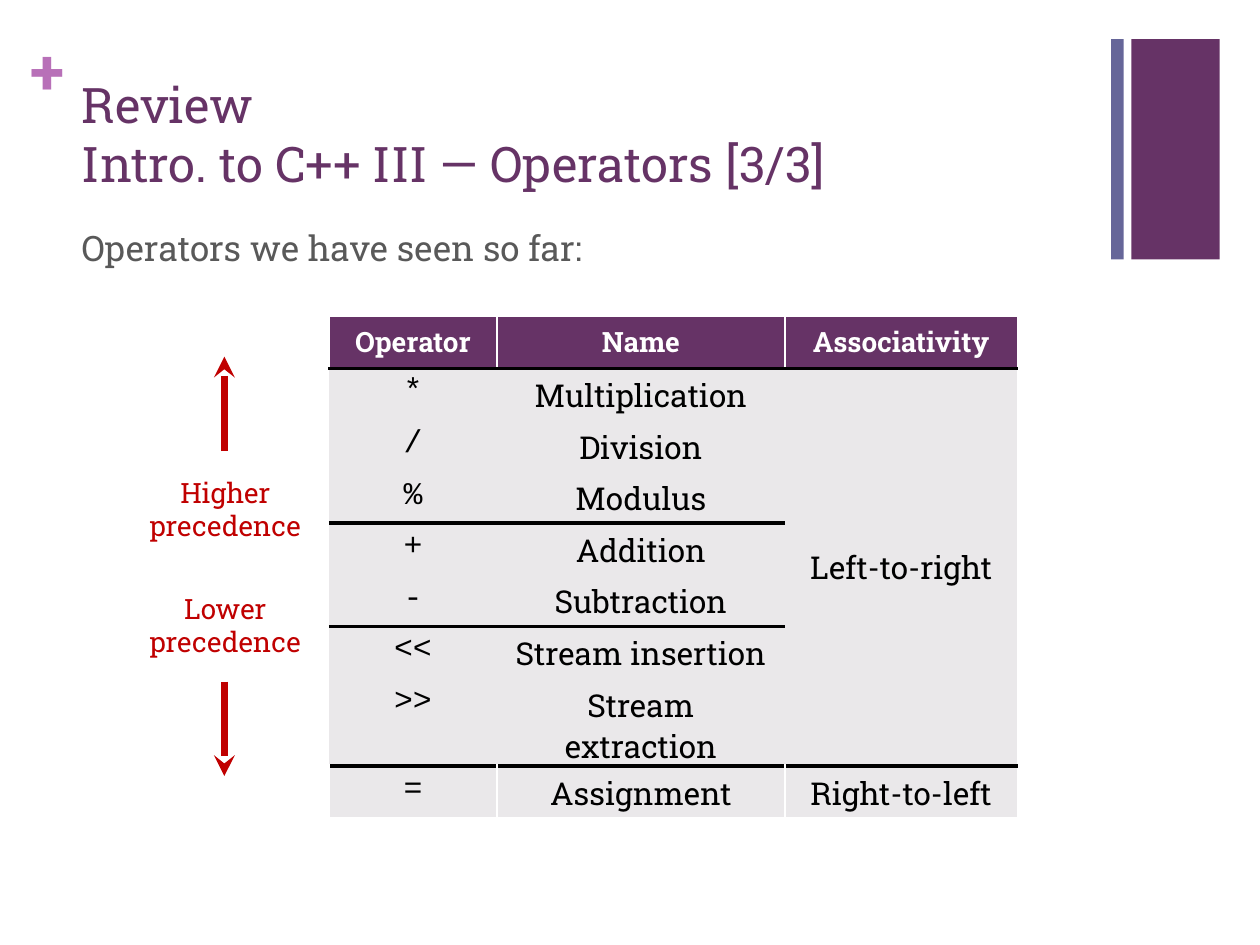
"""Build a review slide on C++ operators, their precedence and associativity."""
from dataclasses import dataclass

from lxml.etree import SubElement
from pptx import Presentation
from pptx.dml.color import RGBColor
from pptx.enum.shapes import MSO_CONNECTOR, MSO_SHAPE
from pptx.enum.text import MSO_ANCHOR, MSO_AUTO_SIZE, PP_ALIGN
from pptx.oxml import parse_xml
from pptx.oxml.ns import nsdecls, qn
from pptx.util import Pt


@dataclass(frozen=True)
class Theme:
    purple: RGBColor = RGBColor(0x66, 0x33, 0x66)
    blue: RGBColor = RGBColor(0x66, 0x66, 0x99)
    orchid: RGBColor = RGBColor(0xB8, 0x70, 0xB8)
    gray: RGBColor = RGBColor(0x59, 0x59, 0x59)
    pale: RGBColor = RGBColor(0xEA, 0xE8, 0xEA)
    red: RGBColor = RGBColor(0xC0, 0x00, 0x00)
    white: RGBColor = RGBColor(0xFF, 0xFF, 0xFF)
    black: RGBColor = RGBColor(0x00, 0x00, 0x00)
    font: str = "Roboto Slab"
    code_font: str = "Courier New"
    plus_size: int = 36
    title_size: int = 28
    body_size: int = 20
    cell_size: int = 18
    label_size: int = 16


theme = Theme()


def write(frame, text, size, color, align=PP_ALIGN.LEFT, bold=False, name=theme.font):
    frame.word_wrap = True
    frame.text = text
    para = frame.paragraphs[0]
    para.alignment = align
    para.font.name = name
    para.font.size = Pt(size)
    para.font.bold = bold
    para.font.color.rgb = color


def set_borders(cell, left, right, top, bottom):
    properties = cell._tc.get_or_add_tcPr()
    for index, (side, border) in enumerate(zip("LRTB", (left, right, top, bottom))):
        color, width = border or (None, 0)
        paint = f'<a:solidFill><a:srgbClr val="{color}"/></a:solidFill>' if border else "<a:noFill/>"
        properties.insert(index, parse_xml(
            f'<a:ln{side} {nsdecls("a")} w="{Pt(width)}">{paint}</a:ln{side}>'))


deck = Presentation()
deck.slide_width, deck.slide_height = Pt(720), Pt(540)
slide = deck.slides.add_slide(deck.slide_layouts[5])
shapes = slide.shapes

for left, width, color in ((646.5, 50.5, theme.purple), (635, 7.2, theme.blue)):
    bar = shapes.add_shape(MSO_SHAPE.RECTANGLE, Pt(left), Pt(22.3), Pt(width), Pt(126))
    bar.shadow.inherit = False
    bar.fill.solid()
    bar.fill.fore_color.rgb = color
    bar.line.fill.background()

plus = shapes.add_textbox(Pt(17.3), Pt(18), Pt(21), Pt(44)).text_frame
plus.margin_left = plus.margin_right = plus.margin_top = plus.margin_bottom = 0
write(plus, "+", theme.plus_size, theme.orchid, bold=True)

title = shapes.title
title.left, title.top, title.width, title.height = Pt(39.6), Pt(38.2), Pt(594.7), Pt(75.6)
write(title.text_frame, "Review\vIntro. to C++ III — Operators [3/3]", theme.title_size, theme.purple)
title.text_frame.auto_size = MSO_AUTO_SIZE.NONE
title.text_frame.vertical_anchor = MSO_ANCHOR.MIDDLE

body = shapes.add_textbox(Pt(39.6), Pt(126), Pt(594.7), Pt(372))
write(body.text_frame, "Operators we have seen so far:", theme.body_size, theme.gray)

rows = (
    ("Operator", "Name", "Associativity"),
    ("*", "Multiplication", "Left-to-right"),
    ("/", "Division", ""),
    ("%", "Modulus", ""),
    ("+", "Addition", ""),
    ("-", "Subtraction", ""),
    ("<<", "Stream insertion", ""),
    (">>", "Stream extraction", ""),
    ("=", "Assignment", "Right-to-left"),
)
last_row = len(rows) - 1
group_ends = (0, 3, 5, 7)
associativity_ends = (0, 7)
rule = (theme.black, 2.25)
hairline = (theme.white, 1)

table = shapes.add_table(len(rows), 3, Pt(188), Pt(181), Pt(393.5), Pt(265.5)).table
for column, width in zip(table.columns, (96, 164.5, 133)):
    column.width = Pt(width)
for row_index, row in enumerate(rows):
    table.rows[row_index].height = Pt(29.5)
    header = row_index == 0
    edge = hairline if row_index in (0, last_row) else None
    for column_index, text in enumerate(row):
        cell = table.cell(row_index, column_index)
        code = column_index == 0 and not header
        ends = associativity_ends if column_index == 2 else group_ends
        write(cell.text_frame, text,
              theme.label_size if header else theme.cell_size,
              theme.white if header else theme.black,
              PP_ALIGN.CENTER, header, theme.code_font if code else theme.font)
        cell.fill.solid()
        cell.fill.fore_color.rgb = theme.purple if header else theme.pale
        set_borders(cell, edge, edge,
                    rule if row_index - 1 in ends else hairline if header else None,
                    rule if row_index in ends else hairline if row_index == last_row else None)
left_to_right = table.cell(1, 2)
left_to_right.merge(table.cell(7, 2))
left_to_right.vertical_anchor = MSO_ANCHOR.MIDDLE
set_borders(left_to_right, None, hairline, rule, rule)
for stale in left_to_right._tc.tcPr[4:8]:
    left_to_right._tc.tcPr.remove(stale)

for text, label_top, arrow_start, arrow_end in (
    ("Higher precedence", 268, 257.8, 203.8),
    ("Lower precedence", 334.3, 389.5, 443.5),
):
    label = shapes.add_textbox(Pt(61.7), Pt(label_top), Pt(134), Pt(46))
    write(label.text_frame, text, theme.label_size, theme.red, PP_ALIGN.CENTER)
    arrow = shapes.add_connector(
        MSO_CONNECTOR.STRAIGHT, Pt(128.2), Pt(arrow_start), Pt(128.2), Pt(arrow_end))
    arrow.line.color.rgb = theme.red
    arrow.line.width = Pt(4)
    properties = arrow.element.spPr
    SubElement(properties.find(qn("a:ln")), qn("a:tailEnd"), type="stealth")
    SubElement(properties, qn("a:effectLst"))

deck.save("out.pptx")
